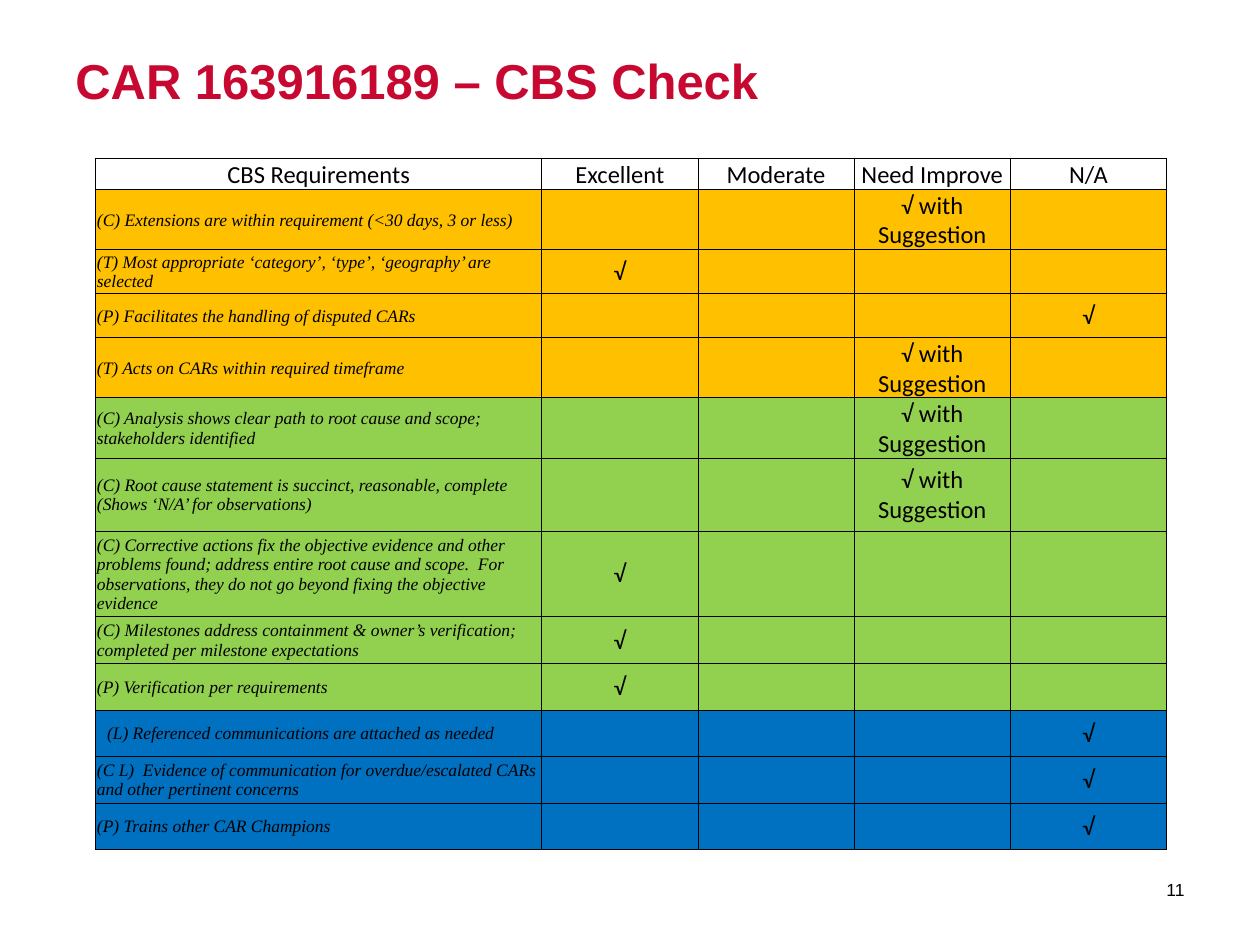
from lxml import etree
from pptx import Presentation
from pptx.dml.color import RGBColor
from pptx.enum.text import MSO_ANCHOR, PP_ALIGN
from pptx.oxml.ns import qn
from pptx.util import Inches, Pt

LEFT, CENTER, RIGHT = PP_ALIGN.LEFT, PP_ALIGN.CENTER, PP_ALIGN.RIGHT
TOP, MIDDLE, BOTTOM = MSO_ANCHOR.TOP, MSO_ANCHOR.MIDDLE, MSO_ANCHOR.BOTTOM

BLACK = RGBColor(0x00, 0x00, 0x00)
RED = RGBColor(0xC7, 0x09, 0x32)
AMBER = RGBColor(0xFF, 0xC0, 0x00)
GREEN = RGBColor(0x92, 0xD0, 0x50)
BLUE = RGBColor(0x00, 0x70, 0xC0)

TICK = "√"
HINT = "√ with Suggestion"
GOOD, POOR, NONE = 1, 3, 4
HEADS = ["CBS Requirements", "Excellent", "Moderate", "Need Improve", "N/A"]
WIDTHS = [35.4] + [12.4] * 4
HEAD_ROW = 2.4
CHECKS = [
    (AMBER, 3.5, "(C) Extensions are within requirement (<30 days, 3 or less)", POOR, HINT),
    (AMBER, 3.5, "(T) Most appropriate ‘category’, ‘type’, ‘geography’ are selected", GOOD, TICK),
    (AMBER, 3.5, "(P) Facilitates the handling of disputed CARs", NONE, TICK),
    (AMBER, 3.5, "(T) Acts on CARs within required timeframe", POOR, HINT),
    (GREEN, 3.4, "(C) Analysis shows clear path to root cause and scope; "
                 "stakeholders identified", POOR, HINT),
    (GREEN, 5.8, "(C) Root cause statement is succinct, reasonable, complete "
                 "(Shows ‘N/A’ for observations)", POOR, HINT),
    (GREEN, 6.8, "(C) Corrective actions fix the objective evidence and other problems found; "
                 "address entire root cause and scope.  For observations, they do not go "
                 "beyond fixing the objective evidence", GOOD, TICK),
    (GREEN, 3.7, "(C) Milestones address containment & owner’s verification; "
                 "completed per milestone expectations", GOOD, TICK),
    (GREEN, 3.7, "(P) Verification per requirements", GOOD, TICK),
    (BLUE, 3.7, "(L) Referenced communications are attached as needed", NONE, TICK),
    (BLUE, 3.7, "(C L)  Evidence of communication for overdue/escalated CARs "
                "and other pertinent concerns", NONE, TICK),
    (BLUE, 3.7, "(P) Trains other CAR Champions", NONE, TICK),
]
INDENTED = 10


class Deck:
    """Draws styled elements on one slide with a grid of 100 columns by 75 rows."""

    def __init__(self):
        self.show = Presentation()
        self.show.slide_width = self.unit(100)
        self.show.slide_height = self.unit(75)
        self.slide = self.show.slides.add_slide(self.show.slide_layouts[6])

    def unit(self, count):
        return Inches(count / 10)

    def words(self, frame, text, size, face, color=BLACK, align=LEFT, bold=False, italic=False):
        frame.text = text
        for line in frame.paragraphs:
            line.alignment = align
            for run in line.runs:
                font = run.font
                font.size, font.name = Pt(size), face
                font.bold, font.italic = bold, italic
                font.color.rgb = color

    def label(self, area, text, size, anchor, inset=0.5, **style):
        box = self.slide.shapes.add_textbox(*map(self.unit, area))
        frame = box.text_frame
        frame.word_wrap = True
        frame.vertical_anchor = anchor
        frame.margin_top = self.unit(inset)
        self.words(frame, text, size, "Arial", **style)

    def border(self, cell, sides):
        props = cell._tc.get_or_add_tcPr()
        for side, width in sides.items():
            line = etree.SubElement(props, qn("a:ln" + side), w=str(Pt(width)))
            fill = etree.SubElement(line, qn("a:solidFill"))
            etree.SubElement(fill, qn("a:srgbClr"), val=str(BLACK))

    def cell(self, cell, sides, color=None, anchor=MIDDLE, indent=0.1):
        cell.margin_left = self.unit(indent)
        cell.margin_top = cell.margin_right = self.unit(0.1)
        cell.margin_bottom = 0
        cell.vertical_anchor = anchor
        self.border(cell, sides)
        if color is None:
            cell.fill.background()
        else:
            cell.fill.solid()
            cell.fill.fore_color.rgb = color

    def table(self, left, top, widths, heights):
        area = map(self.unit, (left, top, sum(widths), sum(heights)))
        table = self.slide.shapes.add_table(len(heights), len(widths), *area).table
        table.first_row = table.horz_banding = False
        for column, width in zip(table.columns, widths):
            column.width = self.unit(width)
        for row, height in zip(table.rows, heights):
            row.height = self.unit(height)
        return table

    def checks(self, left, top):
        table = self.table(left, top, WIDTHS, [HEAD_ROW] + [check[1] for check in CHECKS])
        last_row, last_col = len(CHECKS), len(WIDTHS) - 1
        for row in range(last_row + 1):
            for col in range(last_col + 1):
                edges = {"L": col == 0, "R": col == last_col, "T": row == 0, "B": row == last_row}
                sides = {side: 1 if outer else 0.5 for side, outer in edges.items()}
                color = CHECKS[row - 1][0] if row else None
                indent = 0.9 if (row, col) == (INDENTED, 0) else 0.1
                self.cell(table.cell(row, col), sides, color, MIDDLE if row else BOTTOM, indent)
        for col, head in enumerate(HEADS):
            self.words(table.cell(0, col).text_frame, head, 14, "Calibri", align=CENTER)
        for row, (_, _, text, grade, mark) in enumerate(CHECKS, 1):
            self.words(table.cell(row, 0).text_frame, text, 10, "Times New Roman", italic=True)
            self.words(table.cell(row, grade).text_frame, mark, 14, "Calibri", align=CENTER)


def main():
    deck = Deck()
    deck.label((5, 3, 90, 12.5), "CAR 163916189 – CBS Check", 28, TOP, 1, color=RED, bold=True)
    deck.checks(7.6, 12.6)
    deck.label((88, 68.6, 7, 4), "11", 10, MIDDLE, align=RIGHT)
    deck.show.save("out.pptx")


if __name__ == "__main__":
    main()
